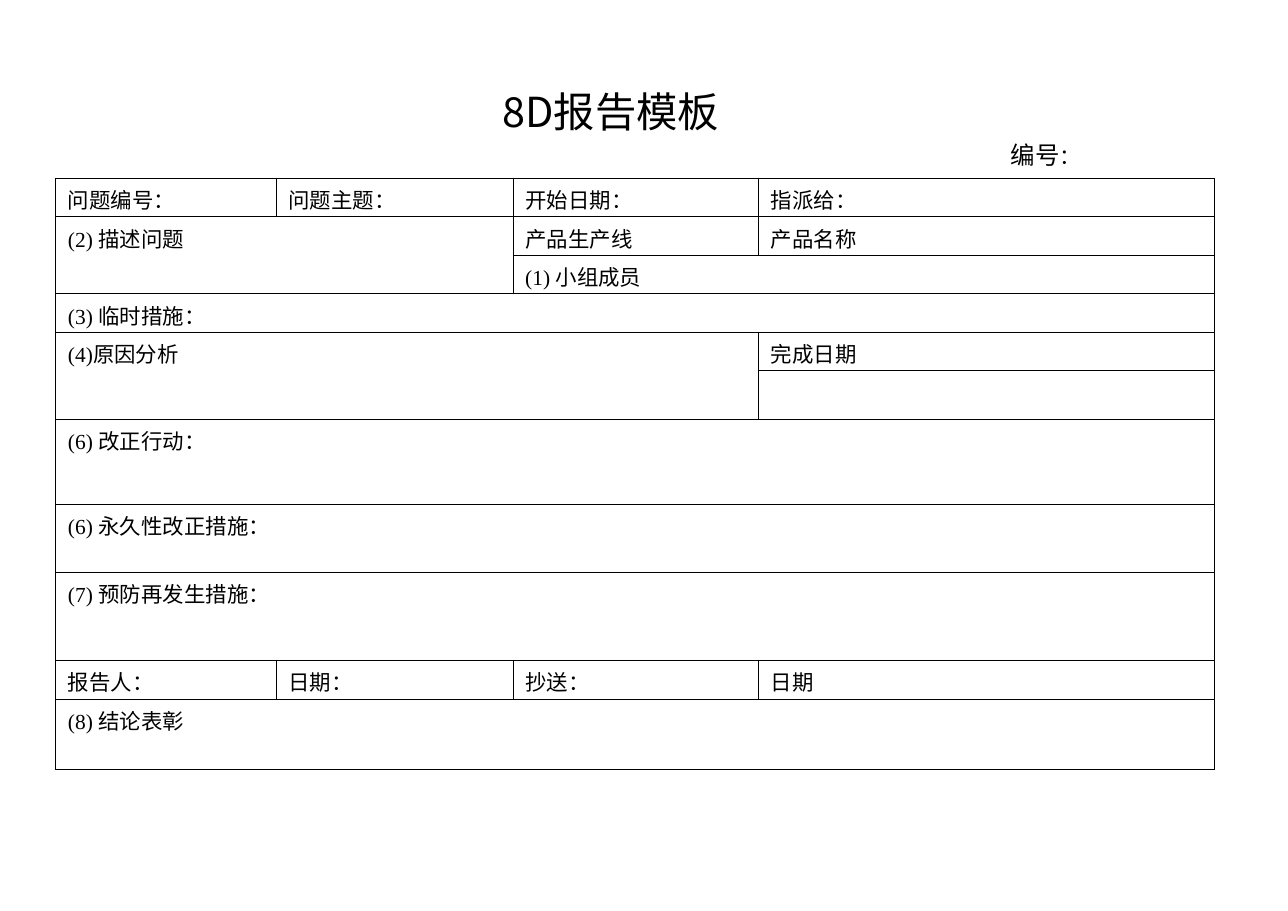
from lxml import etree
from pptx import Presentation
from pptx import util as u
from pptx.dml.color import RGBColor
from pptx.enum import text
from pptx.oxml.ns import qn

BLACK = RGBColor(0, 0, 0)
WHITE = RGBColor(255, 255, 255)
CJK = "Noto Sans CJK SC"
LATIN = "Times New Roman"

COLUMN_WIDTHS = [144, 154.8, 160.6, 298]
ROW_HEIGHTS = [25.1] * 5 + [32, 55.4, 44.4, 57.6, 25.4, 45.8]

# Row, column, rows spanned, columns spanned, label
FIELDS = [
    (0, 0, 1, 1, "问题编号："),
    (0, 1, 1, 1, "问题主题："),
    (0, 2, 1, 1, "开始日期："),
    (0, 3, 1, 1, "指派给："),
    (1, 0, 2, 2, "(2) 描述问题"),
    (1, 2, 1, 1, "产品生产线"),
    (1, 3, 1, 1, "产品名称"),
    (2, 2, 1, 2, "(1) 小组成员"),
    (3, 0, 1, 4, "(3) 临时措施："),
    (4, 0, 2, 3, "(4)原因分析"),
    (4, 3, 1, 1, "完成日期"),
    (6, 0, 1, 4, "(6) 改正行动："),
    (7, 0, 1, 4, "(6) 永久性改正措施："),
    (8, 0, 1, 4, "(7) 预防再发生措施："),
    (9, 0, 1, 1, "报告人："),
    (9, 1, 1, 1, "日期："),
    (9, 2, 1, 1, "抄送："),
    (9, 3, 1, 1, "日期"),
    (10, 0, 1, 4, "(8) 结论表彰"),
]


class Form:
    """Holds the slide and draws its text boxes and table in one style."""

    def __init__(self, page):
        self.page = page
        self.margins = {"margin_left": u.Pt(8), "margin_right": u.Pt(8),
                        "margin_top": u.Pt(3.6), "margin_bottom": u.Pt(3.6)}
        self.borders = ("a:lnL", "a:lnR", "a:lnT", "a:lnB")

    def set_values(self, target, values):
        for name, value in values.items():
            setattr(target, name, value)

    def add_span(self, para, wording, size, font):
        span = para.add_run()
        span.text = wording
        self.set_values(span.font, {"size": u.Pt(size), "name": font})
        span.font.color.rgb = BLACK
        etree.SubElement(span.font._element, qn("a:ea"), typeface=CJK)

    def add_text(self, left, top, width, height, spans):
        box = self.page.shapes.add_textbox(*map(u.Pt, (left, top, width, height)))
        self.set_values(box.text_frame, {
            **self.margins, "word_wrap": False,
            "vertical_anchor": text.MSO_ANCHOR.MIDDLE})
        para = box.text_frame.paragraphs[0]
        para.alignment = text.PP_ALIGN.CENTER
        for span in spans:
            self.add_span(para, *span)

    def style_cell(self, cell):
        self.set_values(cell, self.margins)
        properties = cell._tc.get_or_add_tcPr()
        for tag in self.borders:
            line = etree.SubElement(properties, qn(tag), w=str(u.Pt(0.45)))
            fill = etree.SubElement(line, qn("a:solidFill"))
            etree.SubElement(fill, qn("a:srgbClr"), val=str(BLACK))
        cell.fill.solid()
        cell.fill.fore_color.rgb = WHITE
        cell.text_frame.paragraphs[0].font.size = u.Pt(14)

    def add_table(self, left, top, widths, heights, fields):
        frame = self.page.shapes.add_table(
            len(heights), len(widths), u.Pt(left), u.Pt(top),
            u.Pt(sum(widths)), u.Pt(sum(heights)))
        table = frame.table
        self.set_values(table, {"first_row": False, "horz_banding": False})
        for column, width in zip(table.columns, widths):
            column.width = u.Pt(width)
        for row, height in zip(table.rows, heights):
            row.height = u.Pt(height)
        for cell in table.iter_cells():
            self.style_cell(cell)
        for row, column, down, across, label in fields:
            cell = table.cell(row, column)
            if down * across > 1:
                cell.merge(table.cell(row + down - 1, column + across - 1))
            self.add_span(cell.text_frame.paragraphs[0], label, 14, LATIN)


def main():
    deck = Presentation()
    deck.slide_width, deck.slide_height = u.Pt(841.7), u.Pt(595.4)
    form = Form(deck.slides.add_slide(deck.slide_layouts[6]))

    # Heading and report number
    form.add_text(316, 52.6, 166.3, 40.3, [("8D报告模板", 27, CJK)])
    form.add_text(652.3, 87.1, 62.6, 27.4,
                  [("编号", 16, "Calibri"), ("：", 14, "Calibri")])

    # Report form
    form.add_table(36.4, 116.6, COLUMN_WIDTHS, ROW_HEIGHTS, FIELDS)

    deck.save("out.pptx")


if __name__ == "__main__":
    main()
